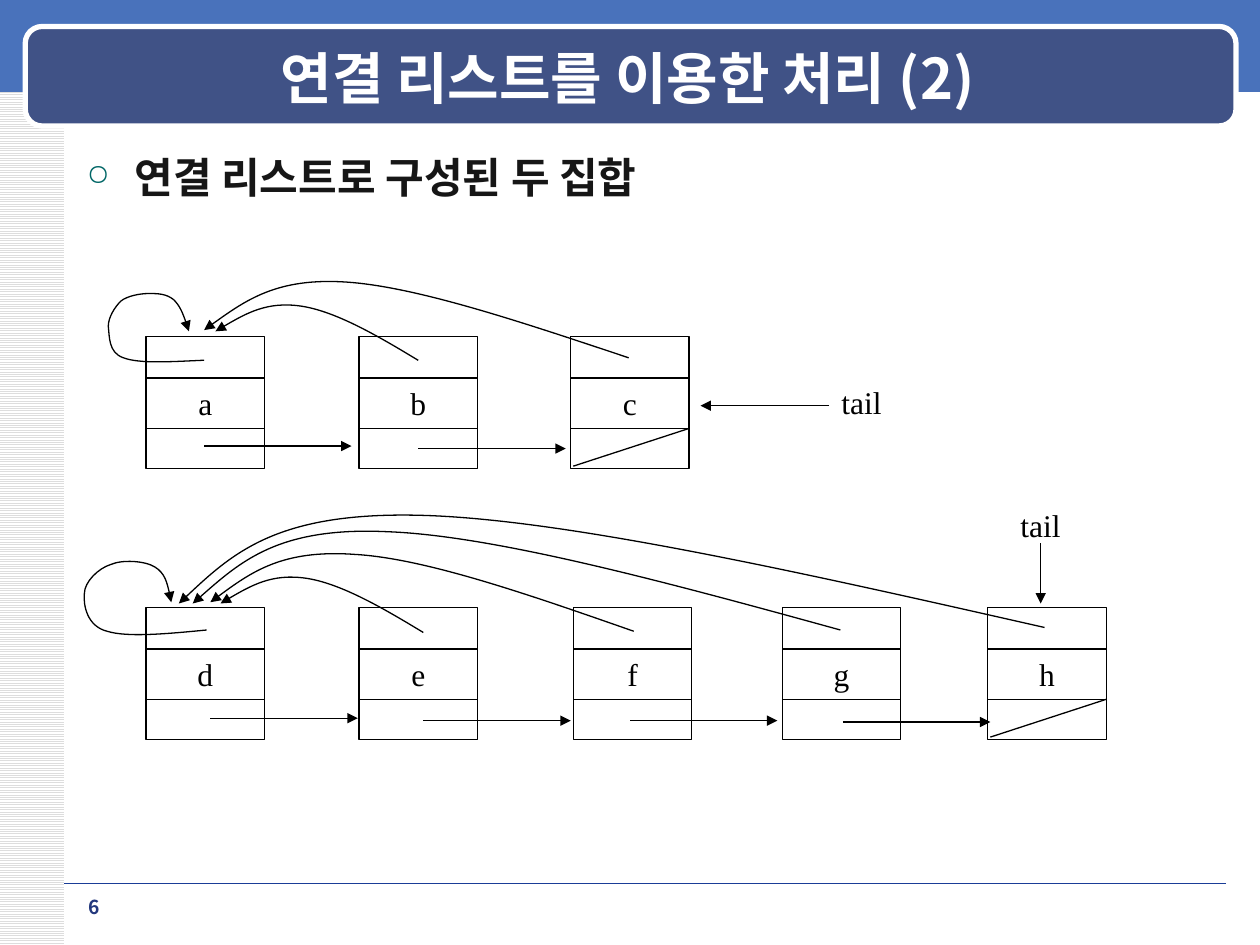
import pptx
import pptx.util
import pptx.dml.color
import pptx.enum.dml
import pptx.enum.shapes
import pptx.enum.text
import pptx.oxml
import pptx.oxml.ns
from lxml import etree

Inches, Pt = pptx.util.Inches, pptx.util.Pt
qn = pptx.oxml.ns.qn
SHAPE = pptx.enum.shapes.MSO_SHAPE
ALIGN = pptx.enum.text.PP_ALIGN
ANCHOR = pptx.enum.text.MSO_ANCHOR

# Content
TITLE = "연결 리스트를 이용한 처리 (2)"
BULLET = "연결 리스트로 구성된 두 집합"
PAGE = "6"
SANS, SERIF = "Noto Sans CJK KR", "Times New Roman"
COLORS = {"ink": "000000", "white": "FFFFFF", "stripe": "DDDDDD", "band": "4972BB",
          "panel": "405286", "rule": "1A3D97", "body": "161616",
          "bullet": "006666", "page": "23387D"}

# Each list: node positions, next-arrow starts, and curved pointers to the head node
# (start point, then two control points and an end point for each curve)
NODE_W, NODE_H = 0.94, 1.05
DIVIDERS = (0.33, 0.73)
NEXT_LEN = 1.17
LISTS = [
    {"top": 2.67, "nodes": [("a", 1.16), ("b", 2.85), ("c", 4.53)],
     "next": [(1.62, 3.54), (3.32, 3.56)],
     "curves": [
         [(3.32, 2.86), (2.99, 2.66), (2.66, 2.47), (2.39, 2.43),
          (2.12, 2.39), (1.91, 2.51), (1.71, 2.63)],
         [(4.99, 2.84), (4.15, 2.56), (3.32, 2.28), (2.76, 2.24),
          (2.2, 2.2), (1.91, 2.41), (1.62, 2.62)],
         [(1.62, 2.86), (1.37, 2.87), (1.11, 2.89), (0.98, 2.84),
          (0.86, 2.8), (0.87, 2.67), (0.86, 2.59),
          (0.86, 2.52), (0.91, 2.44), (0.96, 2.39),
          (1.01, 2.35), (1.11, 2.33), (1.18, 2.33),
          (1.25, 2.33), (1.32, 2.33), (1.38, 2.38),
          (1.43, 2.43), (1.47, 2.53), (1.5, 2.63)]],
     "tail": {"label": (6.58, 2.99), "arrow": ((6.58, 3.22), (5.56, 3.22))}},
    {"top": 4.82, "nodes": [("d", 1.16), ("e", 2.85), ("f", 4.55), ("g", 6.21), ("h", 7.84)],
     "next": [(1.67, 5.7), (3.36, 5.72), (5, 5.72), (6.69, 5.73)],
     "curves": [
         [(3.36, 5.02), (3.03, 4.82), (2.7, 4.63), (2.43, 4.59),
          (2.16, 4.55), (1.95, 4.67), (1.75, 4.79)],
         [(5.03, 5.01), (4.2, 4.72), (3.37, 4.43), (2.81, 4.4),
          (2.24, 4.36), (1.95, 4.57), (1.67, 4.78)],
         [(6.67, 5), (5.29, 4.62), (3.92, 4.25), (3.07, 4.22),
          (2.21, 4.18), (1.87, 4.49), (1.53, 4.79)],
         [(8.29, 4.98), (6.39, 4.55), (4.49, 4.12), (3.34, 4.09),
          (2.2, 4.06), (1.81, 4.42), (1.42, 4.79)],
         [(1.64, 5), (1.33, 5.03), (1.01, 5.06), (0.85, 5.01),
          (0.69, 4.97), (0.66, 4.8), (0.67, 4.71),
          (0.67, 4.62), (0.78, 4.51), (0.88, 4.48),
          (0.97, 4.44), (1.15, 4.45), (1.23, 4.5),
          (1.31, 4.55), (1.34, 4.67), (1.36, 4.78)]],
     "tail": {"label": (8, 3.97), "arrow": ((8.26, 4.31), (8.26, 4.79))}},
]

prs = pptx.Presentation()
prs.slide_width, prs.slide_height = Inches(10), Inches(7.5)
s = prs.slides.add_slide(prs.slide_layouts[5])


def rgb(name):
    return pptx.dml.color.RGBColor.from_string(COLORS[name])


def write(sp, text, size=18, font=SERIF, color="ink", bold=False,
          align=ALIGN.LEFT, anchor=ANCHOR.TOP, wrap=True, bullet=None):
    tf = sp.text_frame
    tf.word_wrap, tf.vertical_anchor = wrap, anchor
    p = tf.paragraphs[0]
    p.alignment = align
    if bullet:
        pPr = p._p.get_or_add_pPr()
        pPr.set("marL", str(Inches(0.38)))
        pPr.set("indent", str(-Inches(0.38)))
        clr = etree.SubElement(pPr, qn("a:buClr"))
        etree.SubElement(clr, qn("a:srgbClr"), val=COLORS["bullet"])
        etree.SubElement(pPr, qn("a:buSzPct"), val="70000")
        etree.SubElement(pPr, qn("a:buChar"), char=bullet)
    r = p.add_run()
    r.text = text
    r.font.size, r.font.bold, r.font.name = Pt(size), bold, font
    r.font.color.rgb = rgb(color)
    etree.SubElement(r.font._element, qn("a:ea"), typeface=font)


def text_box(x, y, w, h, text, **fmt):
    write(s.shapes.add_textbox(Inches(x), Inches(y), Inches(w), Inches(h)), text, **fmt)


def box(x, y, w, h, fill=None, line=None, width=0.75, kind=SHAPE.RECTANGLE):
    sp = s.shapes.add_shape(kind, Inches(x), Inches(y), Inches(w), Inches(h))
    sp.shadow.inherit = False
    if fill:
        sp.fill.solid()
        sp.fill.fore_color.rgb = rgb(fill)
    else:
        sp.fill.background()
    if line:
        stroke(sp, line, width)
    else:
        sp.line.fill.background()
    return sp


def stroke(sp, color="ink", width=0.75, arrow=False):
    sp.line.color.rgb = rgb(color)
    sp.line.width = Pt(width)
    if arrow:
        etree.SubElement(sp.line._get_or_add_ln(), qn("a:tailEnd"), type="triangle")


def line(start, end, color="ink", width=0.75, arrow=False):
    c = s.shapes.add_connector(pptx.enum.shapes.MSO_CONNECTOR.STRAIGHT,
                               *(Inches(v) for v in (*start, *end)))
    stroke(c, color, width, arrow)
    etree.SubElement(c._element.spPr, qn("a:effectLst"))


def curve(points):
    """Draw a curved arrow: every three points after the first form one Bezier."""
    start, *rest = [(Inches(x), Inches(y)) for x, y in points]
    fb = s.shapes.build_freeform(*start)
    fb.add_line_segments(rest, close=False)
    sp = fb.convert_to_shape()
    sp.shadow.inherit = False
    sp.fill.background()
    stroke(sp, arrow=True)
    segments = list(sp._element.iter(qn("a:lnTo")))
    for i in range(0, len(segments), 3):
        bezier = etree.SubElement(segments[i].getparent(), qn("a:cubicBezTo"))
        for seg in segments[i:i + 3]:
            bezier.append(seg[0])
            seg.getparent().remove(seg)


# Background decoration
stripes = box(0, 0, 0.51, 7.5)
stripes.fill.patterned()
stripes.fill.pattern = pptx.enum.dml.MSO_PATTERN.LIGHT_HORIZONTAL
stripes.fill.fore_color.rgb, stripes.fill.back_color.rgb = rgb("stripe"), rgb("white")
box(0, -0.03, 10, 0.76, fill="band")
line((0.51, 7.01), (9.73, 7.01), color="rule", width=0.25)
panel = box(0.2, 0.21, 9.61, 0.79, fill="panel", line="white", width=3,
            kind=SHAPE.ROUNDED_RECTANGLE)
panel.adjustments[0] = 0.17

# Title, brought in front of its panel
title = s.shapes.title
title.left, title.top, title.width, title.height = map(Inches, (0.71, 0.3, 8.54, 0.62))
write(title, TITLE, size=32, font=SANS, color="white", bold=True,
      align=ALIGN.CENTER, anchor=ANCHOR.MIDDLE)
panel._element.addnext(title._element)

# Body and page number
text_box(0.59, 1.15, 8.9, 5.75, BULLET, size=24, font=SANS, color="body", bold=True, bullet="○")
text_box(0.51, 7.06, 0.47, 0.27, PAGE, size=11, font=SANS, color="page", bold=True,
         align=ALIGN.CENTER)

# Linked lists
for lst in LISTS:
    top = lst["top"]
    for name, x in lst["nodes"]:
        node = box(x, top, NODE_W, NODE_H, line="ink")
        write(node, name, align=ALIGN.CENTER, anchor=ANCHOR.MIDDLE, wrap=False)
        for dy in DIVIDERS:
            line((x, top + dy), (x + NODE_W, top + dy))
    # Null link of the last node
    line((x + NODE_W, top + DIVIDERS[-1]), (x + 0.02, top + NODE_H - 0.02))
    for x, y in lst["next"]:
        line((x, y), (x + NEXT_LEN, y), arrow=True)
    for points in lst["curves"]:
        curve(points)
    text_box(*lst["tail"]["label"], 0.52, 0.4, "tail", wrap=False)
    line(*lst["tail"]["arrow"], arrow=True)

prs.save("out.pptx")
